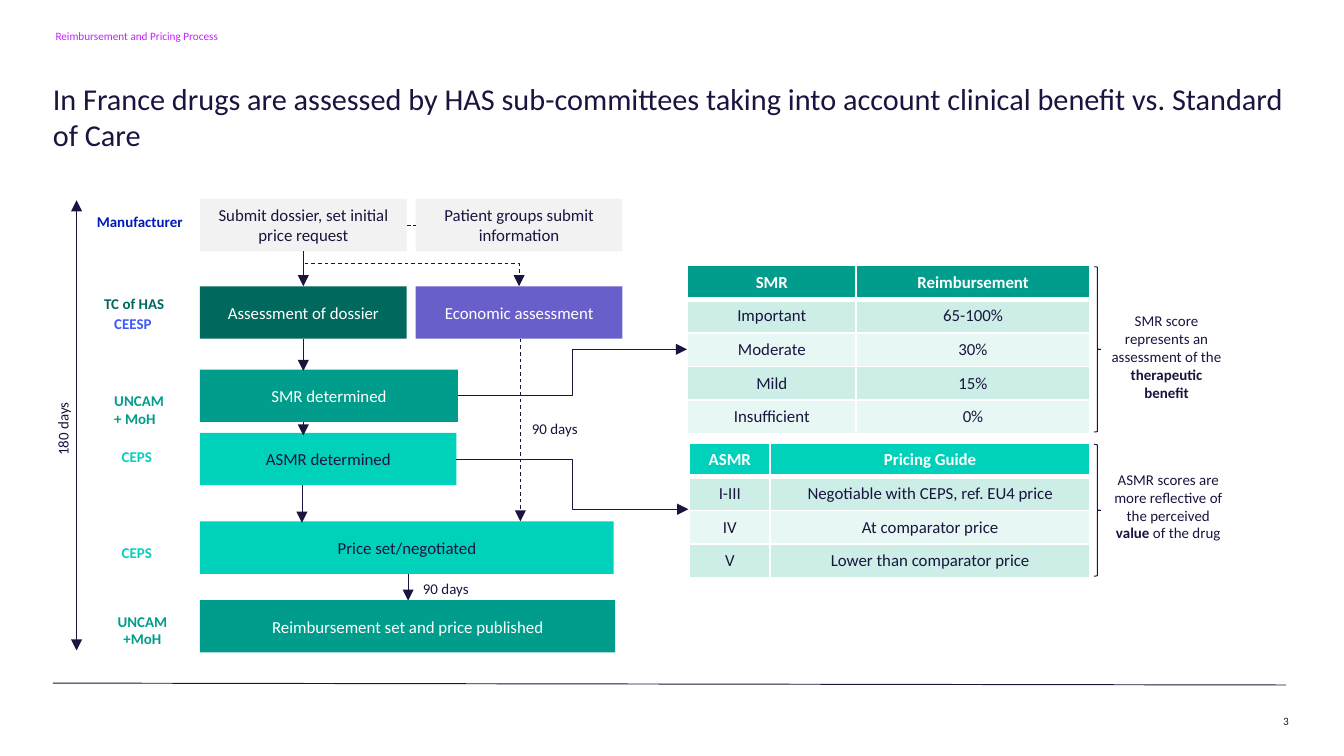
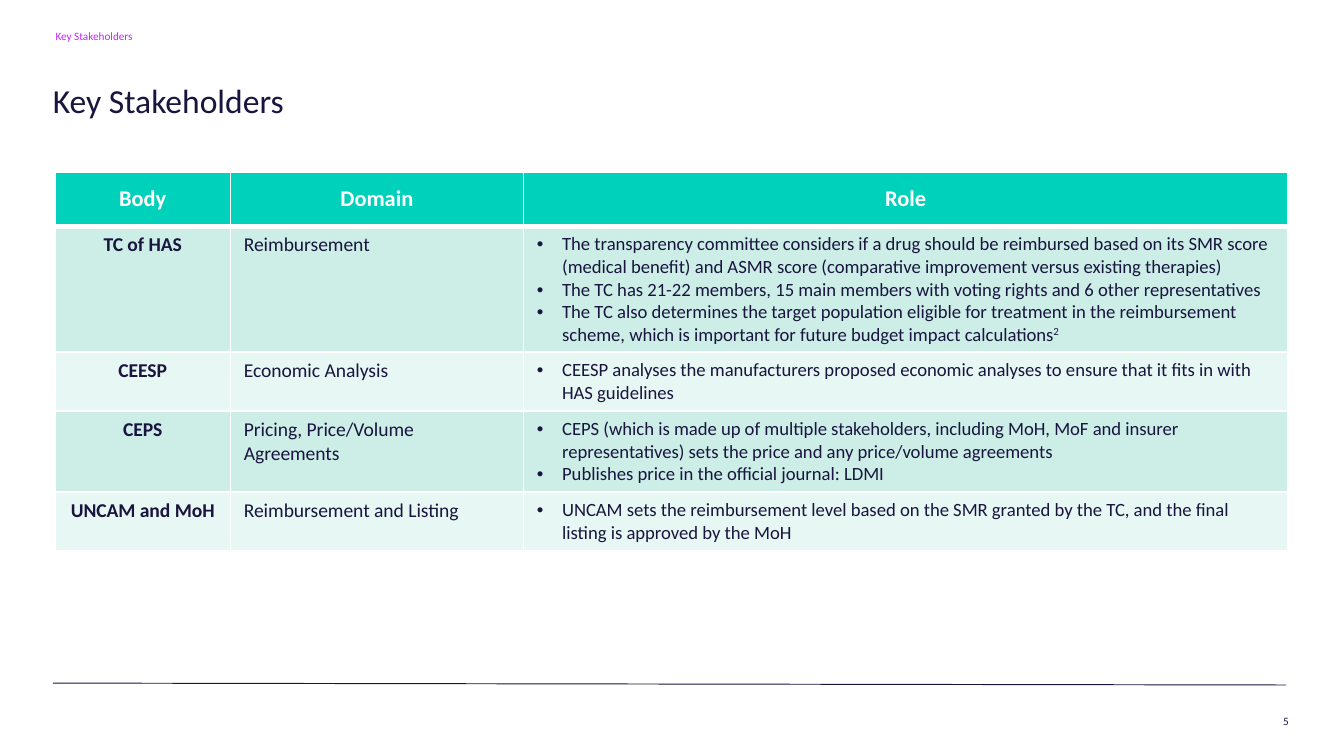
from dataclasses import dataclass

from lxml import etree
from pptx import Presentation
from pptx import util as u
from pptx.dml.color import RGBColor
from pptx.enum import dml, shapes, text
from pptx.oxml.ns import qn


@dataclass(frozen=True)
class Theme:
    font: str = "Calibri"
    ink: str = "19153F"
    white: str = "FFFFFF"
    grey: str = "F2F2F2"
    magenta: str = "C91FFF"
    navy: str = "0019BA"
    blue: str = "3D57FF"
    violet: str = "695FCA"
    forest: str = "00685D"
    teal: str = "009D8C"
    mint: str = "00D1BA"
    bands: tuple = ("E7F7F3", "CCEEE7")
    tiny: float = 6
    label: float = 8
    body: float = 9
    role: float = 10
    entry: float = 10.5
    header: float = 12
    title: float = 18
    long_title: float = 16.2
    rule: float = 0.5


T = Theme()
COLS, ROWS = 100, 56.25
UNIT = u.Inches(10) / COLS
LEFT, CENTER, RIGHT = text.PP_ALIGN.LEFT, text.PP_ALIGN.CENTER, text.PP_ALIGN.RIGHT
TOP, MIDDLE = text.MSO_ANCHOR.TOP, text.MSO_ANCHOR.MIDDLE


def grid(n):
    return u.Emu(round(n * UNIT))


@dataclass(frozen=True)
class Box:
    x: float
    y: float
    w: float
    h: float

    def sub(self, x, y, w, h):
        return Box(self.x + x, self.y + y, w, h)

    def emu(self):
        return [grid(n) for n in (self.x, self.y, self.w, self.h)]


def rgb(color):
    return RGBColor.from_string(color)


def write(tf, lines, size, color=T.ink, bold=False, align=LEFT):
    for i, line in enumerate(lines.split("\n")):
        p = tf.paragraphs[0] if i == 0 else tf.add_paragraph()
        p.alignment = align
        for k, part in enumerate(line.split("*")):
            if part:
                r = p.add_run()
                r.text = part
                style(r, size, color, bold or k % 2 == 1)


def style(r, size, color, bold=False):
    r.font.name, r.font.size, r.font.bold = T.font, u.Pt(size), bold
    r.font.color.rgb = rgb(color)


def no_insets(tf):
    tf.margin_left = tf.margin_top = tf.margin_right = tf.margin_bottom = 0


def textbox(s, box, lines, size=T.label, color=T.ink, bold=False, align=LEFT, wrap=False):
    sp = s.shapes.add_textbox(*box.emu())
    no_insets(sp.text_frame)
    sp.text_frame.word_wrap = wrap
    write(sp.text_frame, lines, size, color, bold, align)
    return sp


def shape(s, kind, box, fill=None, line=None):
    sp = s.shapes.add_shape(kind, *box.emu())
    sp.shadow.inherit = False
    if fill:
        sp.fill.solid()
        sp.fill.fore_color.rgb = rgb(fill)
    else:
        sp.fill.background()
    if line:
        sp.line.color.rgb = rgb(line)
        sp.line.width = u.Pt(T.rule)
    else:
        sp.line.fill.background()
    return sp


def connect(s, box, x1, y1, x2, y2, ends="tail", dash=False, bend=None):
    kind = shapes.MSO_CONNECTOR.ELBOW if bend else shapes.MSO_CONNECTOR.STRAIGHT
    c = s.shapes.add_connector(kind, *(grid(n) for n in (
        box.x + x1, box.y + y1, box.x + x2, box.y + y2)))
    c.line.color.rgb = rgb(T.ink)
    c.line.width = u.Pt(T.rule)
    if dash:
        c.line.dash_style = dml.MSO_LINE.DASH
    pr = c.element.spPr
    if bend:
        pr.find(qn("a:prstGeom")).set("prst", bend)
    for end in ends.split():
        etree.SubElement(pr.find(qn("a:ln")), qn(f"a:{end}End"), type="triangle")
    etree.SubElement(pr, qn("a:effectLst"))


def borders(cell, row):
    tcPr = cell._tc.get_or_add_tcPr()
    widths = {"L": 1, "R": 1, "T": 3 if row == 1 else 1, "B": 3 if row == 0 else 1}
    for side, width in widths.items():
        ln = etree.SubElement(tcPr, qn(f"a:ln{side}"), w=str(u.Pt(width)))
        fill = etree.SubElement(ln, qn("a:solidFill"))
        etree.SubElement(fill, qn("a:srgbClr"), val=T.white)


def table(s, box, widths, heights, rows, color, header_size, columns):
    tbl = s.shapes.add_table(len(rows), len(widths), *box.emu()).table
    tbl.horz_banding = False
    for col, width in zip(tbl.columns, widths):
        col.width = grid(width)
    for i, (row, height) in enumerate(zip(rows, heights)):
        tbl.rows[i].height = grid(height)
        for j, value in enumerate(row):
            cell = tbl.cell(i, j)
            borders(cell, i)
            cell.fill.solid()
            cell.fill.fore_color.rgb = rgb(T.bands[i % 2] if i else color)
            if i:
                size, bold, align = columns[j]
                write(cell.text_frame, value, size, T.ink, bold, align)
            else:
                cell.vertical_anchor = MIDDLE
                write(cell.text_frame, value, header_size, T.white, True, CENTER)
    return tbl


def placeholder(sp, box, value, size, color):
    sp.left, sp.top, sp.width, sp.height = box.emu()
    tf = sp.text_frame
    tf.text = value
    tf.auto_size = text.MSO_AUTO_SIZE.NONE
    tf.vertical_anchor = TOP
    no_insets(tf)
    p = tf.paragraphs[0]
    p.alignment = LEFT
    style(p.runs[0], size, color)
    return tf


def frame_slide(prs, page, kicker, title, size):
    s = prs.slides.add_slide(prs.slide_layouts[1])
    page_box = Box(0, 0, COLS, ROWS)
    connect(s, page_box, 3.93, 50.83, 95.7, 50.97, ends="")
    number = textbox(s, page_box.sub(93.6, 53.15, 2.3, 1), page, T.tiny, align=RIGHT, wrap=True)
    number.text_frame.paragraphs[0].runs[0].font._element.set("spc", "30")
    tf = placeholder(s.shapes.title, page_box.sub(3.93, 5.58, 91.8, 6.2), title, size, T.ink)
    tf.margin_top = grid(0.36)
    tf = placeholder(s.placeholders[1], page_box.sub(4.13, 2.3, 27.5, 1.1), kicker, T.tiny, T.magenta)
    p = tf.paragraphs[0]
    p.line_spacing, p.space_before = 0.9, u.Pt(7.5)
    pPr = p._p.get_or_add_pPr()
    pPr.set("marL", "0")
    pPr.set("indent", "0")
    etree.SubElement(pPr, qn("a:buNone"))
    return s


def timeline(s, box):
    connect(s, box, 1.7, 0.1, 1.7, box.h - 0.1, ends="head tail")
    textbox(s, box.sub(-1.6, 16.2, 4.5, 1.3), "180 days").rotation = 270
    for x, y, w, name, color, align in (
        (3.2, 1.05, 6.8, "Manufacturer", T.navy, LEFT),
        (3.75, 7.1, 5.3, "TC of HAS", T.forest, LEFT),
        (4.5, 8.6, 3.5, "CEESP", T.blue, LEFT),
        (4.5, 14.35, 4.1, "UNCAM\n+ MoH", T.teal, LEFT),
        (5.05, 18.5, 2.8, "CEPS", T.mint, LEFT),
        (5.05, 25.65, 2.8, "CEPS", T.mint, LEFT),
        (4.55, 30.75, 4.1, "UNCAM\n+MoH", T.teal, CENTER),
    ):
        lines = name.count("\n") + 1
        textbox(s, box.sub(x, y, w, 1.33 * lines), name, T.label, color, True, align)


def flowchart(s, box):
    step, half = 3.9, 15.4
    second = half + 0.65
    for x, y, w, name, fill, color in (
        (0, 0, half, "Submit dossier, set initial price request", T.grey, T.ink),
        (second, 0, half, "Patient groups submit information", T.grey, T.ink),
        (0, 6.5, half, "Assessment of dossier", T.forest, T.white),
        (second, 6.5, half, "Economic assessment", T.violet, T.white),
        (0, 12.7, 19.2, "SMR determined", T.teal, T.white),
        (0, 17.4, 19.1, "ASMR determined", T.mint, T.ink),
        (0, 24, 30.8, "Price set/negotiated", T.mint, T.ink),
        (0, 29.85, 30.9, "Reimbursement set and price published", T.teal, T.white),
    ):
        sp = shape(s, shapes.MSO_SHAPE.RECTANGLE, box.sub(x, y, w, step), fill)
        sp.text_frame.vertical_anchor = MIDDLE
        sp.text_frame.word_wrap = True
        write(sp.text_frame, name, T.body, color, align=CENTER)
    for x, top, bottom in (
        (7.7, 3.9, 6.5), (7.7, 10.4, 12.8), (7.7, 16.6, 17.6),
        (7.6, 21.3, 24.1), (15.5, 27.9, 29.9),
    ):
        connect(s, box, x, top, x, bottom)
    connect(s, box, 23.85, 10.4, 23.85, 24, dash=True)
    connect(s, box, half, 1.95, second, 1.95, ends="", dash=True)
    connect(s, box, 7.8, 4.8, 23.75, 6.5, dash=True, bend="bentConnector2")
    connect(s, box, 19.2, 14.65, 36.25, 11.2, bend="bentConnector3")
    connect(s, box, 19.1, 19.4, 36.35, 23.1, bend="bentConnector3")
    for x, y in ((16.6, 28.3), (24.7, 16.4)):
        textbox(s, box.sub(x, y, 4.1, 1.3), "90 days")


def score_table(s, box, widths, color, rows, note_box, note):
    table(s, Box(box.x, box.y, sum(widths), box.h), widths, [2.5] * len(rows),
          rows, color, T.body, [(T.body, False, CENTER)] * 2)
    shape(s, shapes.MSO_SHAPE.RIGHT_BRACE, box.sub(box.w, 0.1, 0.5, box.h - 0.2), line=T.ink)
    textbox(s, box.sub(*note_box), note, align=CENTER, wrap=True)


def stakeholder_table(s, box, rows):
    widths = (13.05, 21.8, 56.9)
    tbl = table(s, box, widths, (4.05, 9.35, 4.4, 6, 4.4), rows, T.mint, T.header,
                ((T.entry, True, CENTER), (T.entry, False, LEFT), (T.role, False, LEFT)))
    for i in range(1, len(rows)):
        for p in tbl.cell(i, 2).text_frame.paragraphs:
            pPr = p._p.get_or_add_pPr()
            pPr.set("marL", str(grid(1.88)))
            pPr.set("indent", str(-grid(1.88)))
            etree.SubElement(pPr, qn("a:buFont"), typeface="Arial")
            etree.SubElement(pPr, qn("a:buChar"), char="•")
    r = tbl.cell(1, 2).text_frame.paragraphs[-1].add_run()
    r.text = "2"
    style(r, T.role, T.ink)
    r.font._element.set("baseline", "30000")


def process_slide(prs):
    s = frame_slide(
        prs, "3", "Reimbursement and Pricing Process",
        "In France drugs are assessed by HAS sub-committees taking into account "
        "clinical benefit vs. Standard of Care", T.long_title)
    timeline(s, Box(4, 14.8, 10, 33.7))
    flowchart(s, Box(14.87, 14.8, 31.4, 33.7))
    score_table(
        s, Box(51.15, 19.75, 30.25, 12.5), (12.55, 17.4), T.teal,
        (("SMR", "Reimbursement"), ("Important", "65-100%"), ("Moderate", "30%"),
         ("Mild", "15%"), ("Insufficient", "0%")),
        (31.25, 3.45, 8.8, 6.7),
        "SMR score represents an assessment of the *therapeutic benefit*")
    score_table(
        s, Box(51.3, 32.97, 30.1, 10), (6, 23.8), T.mint,
        (("ASMR", "Pricing Guide"), ("I-III", "Negotiable with CEPS, ref. EU4 price"),
         ("IV", "At comparator price"), ("V", "Lower than comparator price")),
        (31.53, 2.03, 8.2, 6.7),
        "ASMR scores are more reflective of the perceived *value* of the drug")


def stakeholder_slide(prs):
    s = frame_slide(prs, "5", "Key Stakeholders", "Key Stakeholders", T.title)
    stakeholder_table(s, Box(4.1, 12.8, 91.75, 28.2), (
        ("Body", "Domain", "Role"),
        ("TC of HAS", "Reimbursement",
         "The transparency committee considers if a drug should be reimbursed based on its "
         "SMR score (medical benefit) and ASMR score (comparative improvement versus "
         "existing therapies)\n"
         "The TC has 21-22 members, 15 main members with voting rights and 6 other "
         "representatives\n"
         "The TC also determines the target population eligible for treatment in the "
         "reimbursement scheme, which is important for future budget impact calculations"),
        ("CEESP", "Economic Analysis",
         "CEESP analyses the manufacturers proposed economic analyses to ensure that it "
         "fits in with HAS guidelines"),
        ("CEPS", "Pricing, Price/Volume Agreements",
         "CEPS (which is made up of multiple stakeholders, including MoH, MoF and insurer "
         "representatives) sets the price and any price/volume agreements\n"
         "Publishes price in the official journal: LDMI"),
        ("UNCAM and MoH", "Reimbursement and Listing",
         "UNCAM sets the reimbursement level based on the SMR granted by the TC, and the "
         "final listing is approved by the MoH"),
    ))


def main():
    prs = Presentation()
    prs.slide_width, prs.slide_height = grid(COLS), grid(ROWS)
    process_slide(prs)
    stakeholder_slide(prs)
    prs.save("out.pptx")


if __name__ == "__main__":
    main()
